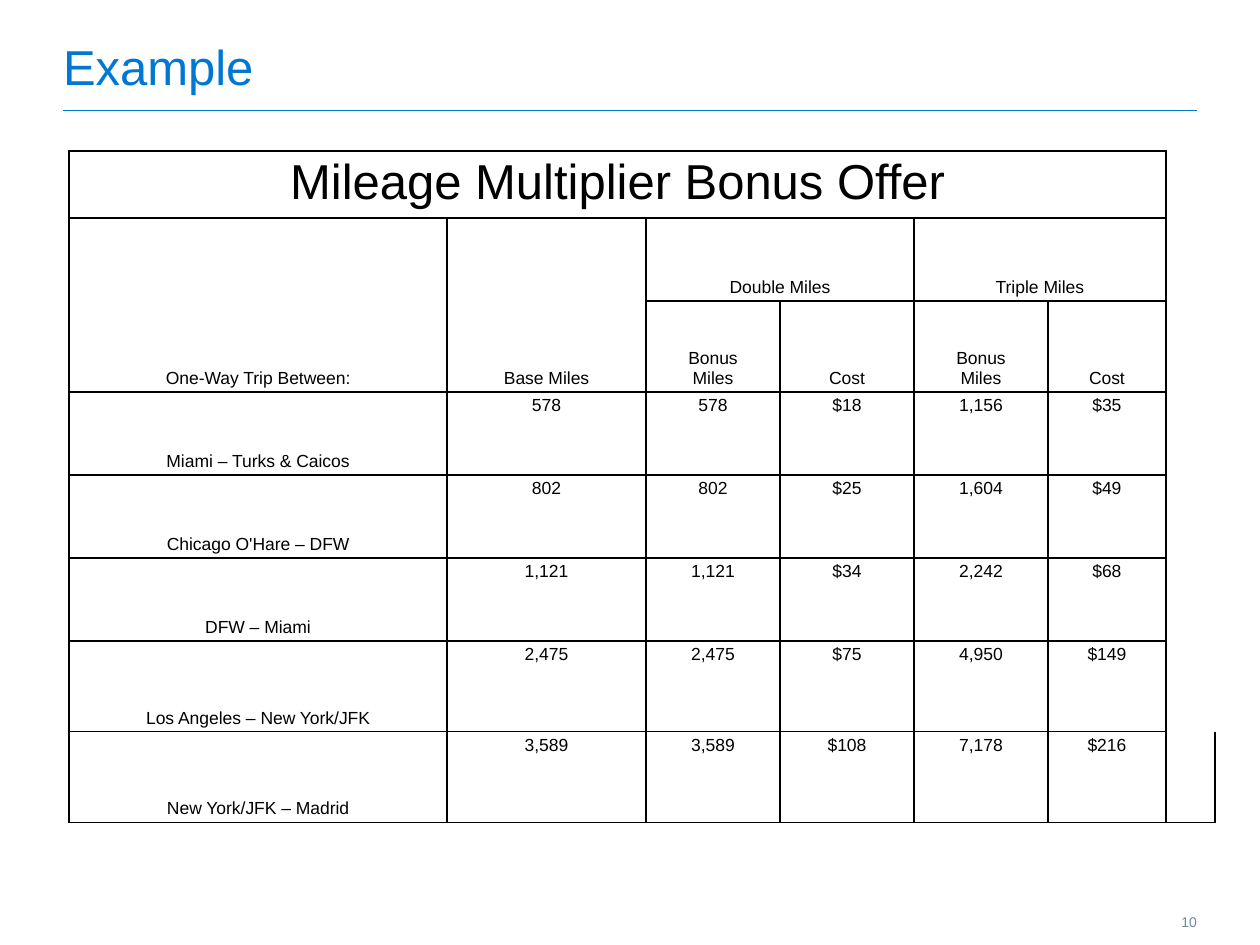
"""Builds the Example slide: a table of mileage bonus offers."""
from lxml.etree import SubElement
from pptx import Presentation
from pptx.dml.color import RGBColor
from pptx.enum.shapes import MSO_CONNECTOR
from pptx.enum.text import MSO_ANCHOR, PP_ALIGN
from pptx.oxml.ns import qn
from pptx.util import Emu, Pt

COLORS = {"blue": "0078D2", "slate": "6E8999", "black": "000000"}
FONT = "Arial"


def px(length):
    return Emu(round(length * 914400 / 126))


def format_text(text_frame, size, color, alignment, margin=0):
    text_frame.margin_left = text_frame.margin_right = px(margin)
    text_frame.margin_top = text_frame.margin_bottom = px(margin)
    text_frame.word_wrap = True
    for paragraph in text_frame.paragraphs:
        paragraph.alignment = alignment
        for run in paragraph.runs:
            run.font.name = FONT
            run.font.size = Pt(size)
            run.font.color.rgb = RGBColor.from_string(COLORS[color])


presentation = Presentation()
presentation.slide_width, presentation.slide_height = px(1260), px(945)
slide = presentation.slides.add_slide(presentation.slide_layouts[5])

title = slide.shapes.title
title.left, title.top, title.width, title.height = px(63), px(32), px(1134), px(63)
title.text_frame.text = "Example"
title.text_frame.vertical_anchor = MSO_ANCHOR.BOTTOM
format_text(title.text_frame, 28, "blue", PP_ALIGN.LEFT)

rule = slide.shapes.add_connector(MSO_CONNECTOR.STRAIGHT, px(63), px(110), px(1197), px(110))
rule.line.color.rgb = RGBColor.from_string(COLORS["blue"])
rule.line.width = Pt(0.5)
SubElement(rule._element.spPr, qn("a:effectLst"))

page_number = slide.shapes.add_textbox(px(1153), px(914), px(44), px(19))
page_number.text_frame.text = "10"
format_text(page_number.text_frame, 8, "slate", PP_ALIGN.RIGHT)

rows = [
    ["Mileage Multiplier Bonus Offer"],
    ["One-Way Trip Between:", "Base Miles", "Double Miles", "", "Triple Miles"],
    ["", "", "Bonus\nMiles", "Cost", "Bonus\nMiles", "Cost"],
    ["Miami – Turks & Caicos", "578", "578", "$18", "1,156", "$35"],
    ["Chicago O'Hare – DFW", "802", "802", "$25", "1,604", "$49"],
    ["DFW – Miami", "1,121", "1,121", "$34", "2,242", "$68"],
    ["Los Angeles – New York/JFK", "2,475", "2,475", "$75", "4,950", "$149"],
    ["New York/JFK – Madrid", "3,589", "3,589", "$108", "7,178", "$216"],
]
column_widths = [378, 199, 134, 134, 134, 118, 49]
row_heights = [63, 83, 91, 83, 83, 83, 91, 91]
merges = [(0, 0, 0, 5), (1, 0, 2, 0), (1, 1, 2, 1), (1, 2, 1, 3), (1, 4, 1, 5)]
last_row, last_column = len(row_heights) - 1, len(column_widths) - 1

table_frame = slide.shapes.add_table(
    len(row_heights), len(column_widths), px(69), px(151), px(sum(column_widths)), px(sum(row_heights))
)
table = table_frame.table
table.first_row = table.horz_banding = False
for column, width in zip(table.columns, column_widths):
    column.width = px(width)
for row, height in zip(table.rows, row_heights):
    row.height = px(height)
for top, left, bottom, right in merges:
    table.cell(top, left).merge(table.cell(bottom, right))

for row_index in range(last_row + 1):
    for column_index in range(last_column + 1):
        cell = table.cell(row_index, column_index)
        if cell.is_spanned:
            continue
        if column_index < len(rows[row_index]):
            cell.text_frame.text = rows[row_index][column_index]
        format_text(cell.text_frame, 10 if row_index else 28, "black", PP_ALIGN.CENTER)
        cell.margin_left = cell.margin_right = cell.margin_top = cell.margin_bottom = px(4)
        is_label = row_index in (1, 2) or (row_index > 2 and column_index == 0)
        cell.vertical_anchor = MSO_ANCHOR.BOTTOM if is_label else MSO_ANCHOR.TOP

        visible_sides = "LRTB"
        if column_index == last_column:
            visible_sides = "LRB" if row_index == last_row else "L"
        properties = cell._tc.get_or_add_tcPr()
        for side in "LRTB":
            border = SubElement(properties, qn(f"a:ln{side}"), w=str(Pt(1)))
            if side in visible_sides:
                fill = SubElement(border, qn("a:solidFill"))
                SubElement(fill, qn("a:srgbClr"), val=COLORS["black"])
            else:
                SubElement(border, qn("a:noFill"))
        cell.fill.background()

presentation.save("out.pptx")
